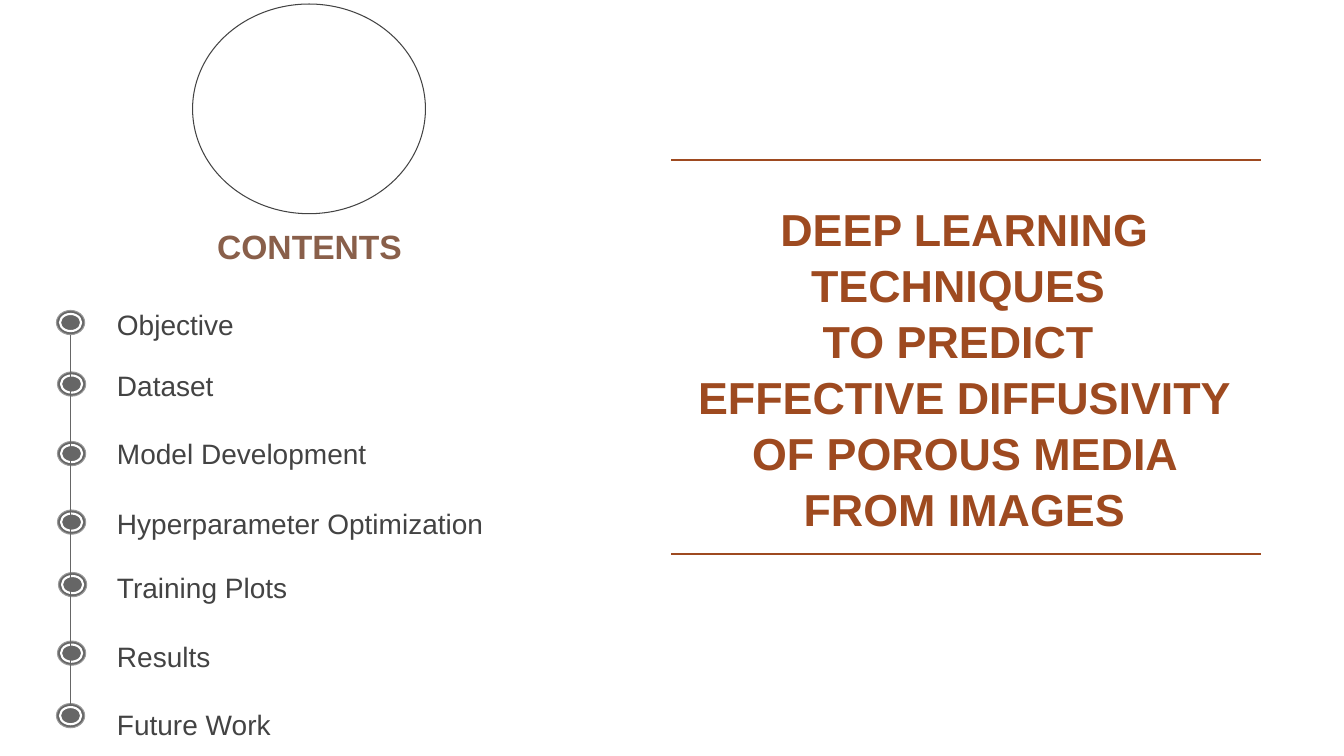
from itertools import pairwise

from lxml import etree
from pptx import Presentation
from pptx import util as u
from pptx.dml.color import RGBColor
from pptx.enum import shapes, text
from pptx.oxml import ns

PX = u.Inches(1) // 100
PT_PER_PX = 0.72
COLORS = {
    "rust": "9E4A20",
    "brown": "895F4A",
    "ink": "434343",
    "dot": "666666",
    "rim": "999999",
    "white": "FFFFFF",
}
TITLE_LINES = [
    "DEEP LEARNING TECHNIQUES ",
    "TO PREDICT ",
    "EFFECTIVE DIFFUSIVITY OF POROUS MEDIA FROM IMAGES",
]
# Topic, top of its text, left and top of its timeline dot
TOPICS = [
    ("Objective", 295, 56, 308),
    ("Dataset", 354, 57, 369),
    ("Model Development", 420, 57, 438),
    ("Hyperparameter Optimization", 488, 57, 506),
    ("Training Plots", 550, 58, 568),
    ("Results", 617, 57, 636),
    ("Future Work", 683, 56, 698),
]


def color(name):
    return RGBColor.from_string(COLORS[name])


class ContentsSlide:
    font_name = "Arial"

    def __init__(self, slide):
        self.slide = slide

    def place(self, holder, left, top, width, height):
        holder.left, holder.top = left * PX, top * PX
        holder.width, holder.height = width * PX, height * PX

    def set_lines(self, holder, lines, size, ink, bold=False, align=None, inset_top=10):
        """Fill a text holder with one paragraph per line, all in one style."""
        frame = holder.text_frame
        frame.word_wrap = True
        frame.auto_size = text.MSO_AUTO_SIZE.NONE
        frame.vertical_anchor = text.MSO_ANCHOR.TOP
        frame.margin_left = frame.margin_right = 10 * PX
        frame.margin_top = inset_top * PX
        frame.text = "\n".join(lines)
        for line in frame.paragraphs:
            line.alignment = align
            line.space_before = u.Pt(0)
            font = line.font
            font.name, font.size, font.bold = self.font_name, u.Pt(size), bold
            font.color.rgb = color(ink)
        return frame.paragraphs

    def title(self, lines, *box):
        holder = self.slide.shapes.title
        self.place(holder, *box)
        for line in self.set_lines(holder, lines, 32, "rust", True, text.PP_ALIGN.CENTER, 113):
            line.line_spacing = 1.04

    def heading(self, words, *box):
        holder = self.slide.shapes.add_textbox(*(n * PX for n in box))
        self.set_lines(holder, [words], 24, "brown", True, text.PP_ALIGN.CENTER)

    def topic_list(self, topics, tops, *box):
        """Set the topics without bullets, spaced so that each starts at its top."""
        size = 20
        holder = self.slide.placeholders[1]
        self.place(holder, *box)
        entries = self.set_lines(holder, topics, size, "ink", align=text.PP_ALIGN.LEFT)
        for entry in entries:
            props = entry._p.get_or_add_pPr()
            props.set("marL", "0")
            props.set("indent", "0")
            bullet = etree.Element(ns.qn("a:buNone"))
            props.insert_element_before(bullet, "a:tabLst", "a:defRPr", "a:extLst")
        for entry, (above, top) in zip(entries[1:], pairwise(tops)):
            entry.space_before = u.Pt((top - above) * PT_PER_PX - size * 1.15)

    def ellipse(self, left, top, width, height, line, weight, fill=None):
        oval = self.slide.shapes.add_shape(
            shapes.MSO_SHAPE.OVAL, *(int(n * PX) for n in (left, top, width, height)))
        oval.shadow.inherit = False
        if fill:
            oval.fill.solid()
            oval.fill.fore_color.rgb = color(fill)
        else:
            oval.fill.background()
        oval.line.color.rgb = color(line)
        oval.line.width = u.Pt(weight)

    def dot(self, left, top):
        """Draw a timeline dot with a white ring centred in it."""
        self.ellipse(left, top, 28, 24, "rim", 0.75, "dot")
        self.ellipse(left + 3.5, top + 3.5, 21, 17, "white", 1.5)

    def rule(self, x1, y1, x2, y2, ink, weight):
        line = self.slide.shapes.add_connector(
            shapes.MSO_CONNECTOR.STRAIGHT, *(n * PX for n in (x1, y1, x2, y2)))
        line.line.color.rgb = color(ink)
        line.line.width = u.Pt(weight)
        etree.SubElement(line._element.spPr, ns.qn("a:effectLst"))


def main():
    deck = Presentation()
    deck.slide_width, deck.slide_height = 1333 * PX, 750 * PX
    page = ContentsSlide(deck.slides.add_slide(deck.slide_layouts[1]))

    page.ellipse(191, 4, 231, 208, "ink", 0.75)
    page.heading("CONTENTS", 116, 214, 382, 83)
    topics, tops, dot_lefts, dot_tops = zip(*TOPICS)
    page.topic_list(topics, tops, 106, tops[0], 448, 430)
    for left, top in zip(dot_lefts, dot_tops):
        page.dot(left, top)
    page.rule(70, 332, 70, 698, "dot", 0.75)

    page.title(TITLE_LINES, 679, 85, 555, 495)
    for y in (159, 550):
        page.rule(666, y, 1251, y, "rust", 1.5)
    deck.save("out.pptx")


if __name__ == "__main__":
    main()
